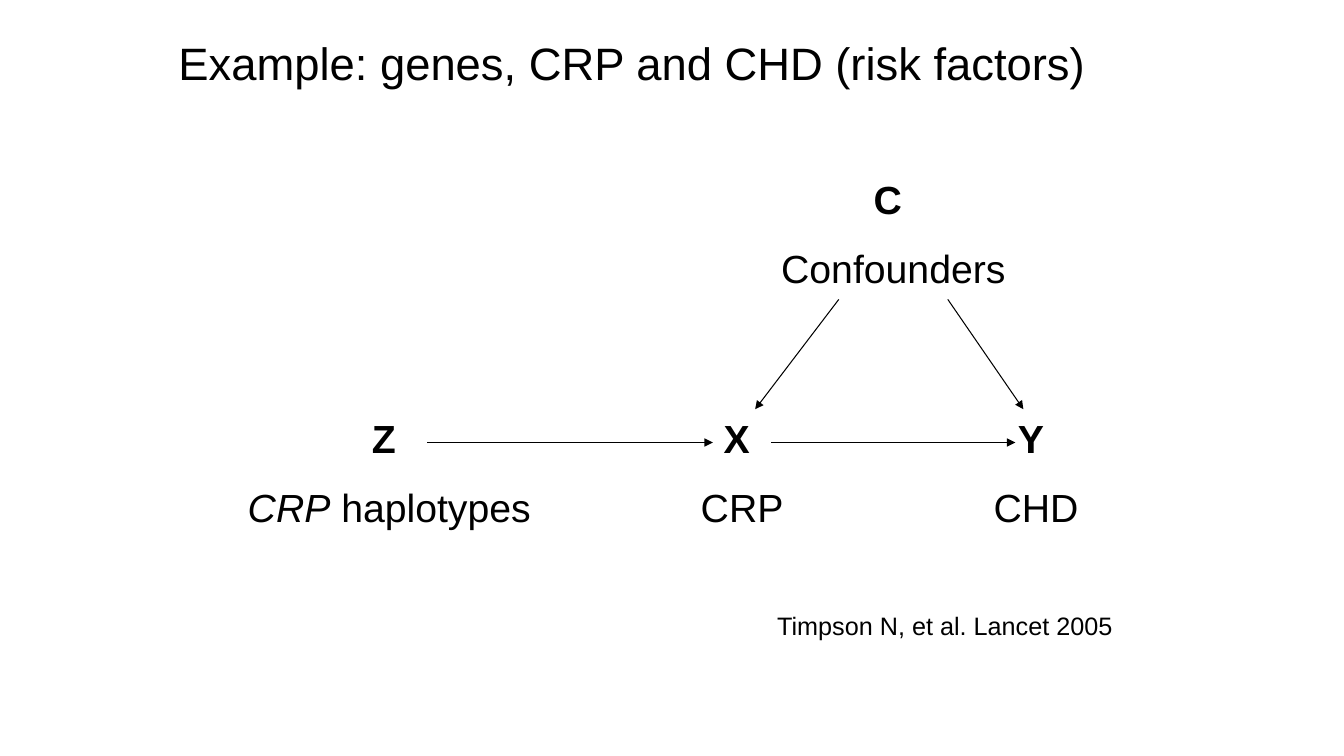
from dataclasses import dataclass
from lxml.etree import SubElement
from pptx import Presentation
from pptx.dml.color import RGBColor as RGB
from pptx.enum.shapes import MSO_CONNECTOR as Line
from pptx.enum.text import MSO_ANCHOR as Anchor, PP_ALIGN as Align
from pptx.oxml.ns import qn
from pptx.util import Inches, Pt


@dataclass(frozen=True)
class Theme:
    font: str = "Arial"
    ink: RGB = RGB(0, 0, 0)
    title: float = 32.4
    label: float = 28
    cite: float = 18
    gap: float = 16
    rule: float = 0.75


THEME = Theme()


def style(run, size, bold=False, slant=False):
    font = run.font
    font.name, font.size = THEME.font, Pt(size)
    font.bold, font.italic = bold, slant
    font.color.rgb = THEME.ink


def add_title(slide, box, text):
    title = slide.shapes.title
    title.left, title.top, title.width, title.height = map(Inches, box)
    frame = title.text_frame
    frame.text = text
    frame.word_wrap = True
    frame.vertical_anchor = Anchor.MIDDLE
    para = frame.paragraphs[0]
    para.alignment, para.line_spacing = Align.LEFT, 0.9
    style(para.runs[0], THEME.title)


def add_box(slide, box):
    frame = slide.shapes.add_textbox(*map(Inches, box)).text_frame
    frame.word_wrap = True
    return frame


def add_node(slide, box, letter, parts):
    frame = add_box(slide, box)
    frame.text = letter
    head = frame.paragraphs[0]
    head.alignment = Align.CENTER
    style(head.runs[0], THEME.label, bold=True)
    name = frame.add_paragraph()
    name.alignment, name.space_before = Align.CENTER, Pt(THEME.gap)
    for text, slant in parts:
        run = name.add_run()
        run.text = text
        style(run, THEME.label, slant=slant)


def add_arrow(slide, start, end):
    line = slide.shapes.add_connector(
        Line.STRAIGHT, *map(Inches, (*start, *end)))
    line.line.color.rgb = THEME.ink
    line.line.width = Pt(THEME.rule)
    props = line.line._get_or_add_ln()
    SubElement(props, qn("a:tailEnd"), type="triangle")
    SubElement(line._element.spPr, qn("a:effectLst"))


def add_graph(slide, box):
    left, top, width, height = box
    tall = 1.28
    low = top + height - tall
    nodes = [
        (0, low, 4.08, "Z ", [("CRP", True), (" haplotypes", False)]),
        (4, low, 3.08, "X ", [("CRP", False)]),
        (width - 2.25, low, 2.25, "Y ", [("CHD", False)]),
        (5.29, top, 3.5, "C ", [("Confounders", False)]),
    ]
    for x, y, wide, letter, parts in nodes:
        add_node(slide, (left + x, y, wide, tall), letter, parts)
    mid, base = low + 0.33, top + tall
    arrows = [
        (2.42, mid, 5.25, mid),
        (5.83, mid, 8.25, mid),
        (6.5, base, 5.67, low),
        (7.58, base, 8.33, low),
    ]
    for x1, y1, x2, y2 in arrows:
        add_arrow(slide, (left + x1, y1), (left + x2, y2))


def add_cite(slide, box, text):
    frame = add_box(slide, box)
    frame.text = text
    style(frame.paragraphs[0].runs[0], THEME.cite)


def main():
    deck = Presentation()
    deck.slide_width, deck.slide_height = Inches(13.33), Inches(7.5)
    slide = deck.slides.add_slide(deck.slide_layouts[5])
    add_title(slide, (1.67, 0.33, 10, 0.64),
              "Example: genes, CRP and CHD (risk factors)")
    add_graph(slide, (1.82, 1.69, 9.58, 3.65))
    add_cite(slide, (7.61, 6.01, 3.85, 0.4), "Timpson N, et al. Lancet 2005")
    deck.save("out.pptx")


if __name__ == "__main__":
    main()
